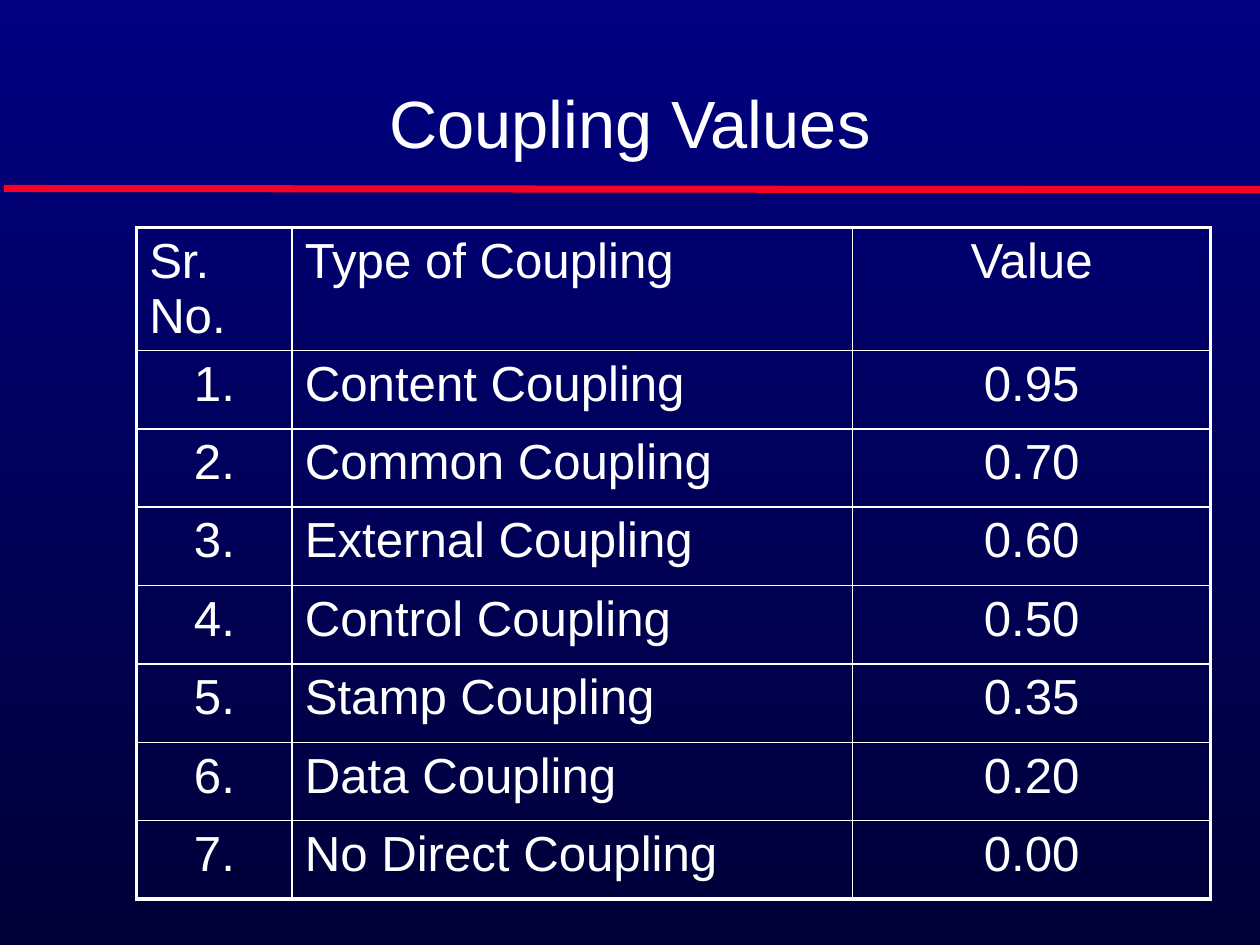
from lxml import etree
from pptx import Presentation
from pptx.dml.color import RGBColor
from pptx.enum import shapes, text
from pptx.oxml import ns
from pptx.util import Inches, Pt

TITLE = "Coupling Values"
HEADER = ("Sr. No.", "Type of Coupling", "Value")
COUPLINGS = [
    ("Content Coupling", "0.95"),
    ("Common Coupling", "0.70"),
    ("External Coupling", "0.60"),
    ("Control Coupling", "0.50"),
    ("Stamp Coupling", "0.35"),
    ("Data Coupling", "0.20"),
    ("No Direct Coupling", "0.00"),
]
COLORS = {"text": "FFFFFF", "rule": "FC0128", "top": "000080", "bottom": "000038"}
FONT = "Arial"
COL_WIDTHS = (1.23, 4.43, 2.83)
HEADER_HEIGHT, ROW_HEIGHT = 0.97, 0.62
OUTER, INNER = 2.25, 1


def rgb(name):
    return RGBColor.from_string(COLORS[name])


def write(tf, content, size, align):
    tf.text = content
    p = tf.paragraphs[0]
    p.alignment = align
    font = p.runs[0].font
    font.name, font.size, font.bold = FONT, Pt(size), False
    font.color.rgb = rgb("text")


def set_borders(cell, widths):
    """Draw left, right, top and bottom borders with the given point widths."""
    tc_pr = cell._tc.get_or_add_tcPr()
    for tag, width in zip(("a:lnL", "a:lnR", "a:lnT", "a:lnB"), widths):
        ln = etree.SubElement(tc_pr, ns.qn(tag), w=str(Pt(width)))
        fill = etree.SubElement(ln, ns.qn("a:solidFill"))
        etree.SubElement(fill, ns.qn("a:srgbClr"), val=COLORS["text"])


def add_background(slide):
    fill = slide.background.fill
    fill.gradient()
    fill.gradient_angle = 270
    for stop, name in zip(fill.gradient_stops, ("top", "bottom")):
        stop.color.rgb = rgb(name)


def add_title(slide):
    sp = slide.shapes.title
    sp.left, sp.top, sp.width, sp.height = map(Inches, (0.73, 0.33, 8.5, 1))
    tf = sp.text_frame
    tf.vertical_anchor = text.MSO_ANCHOR.BOTTOM
    write(tf, TITLE, 38, text.PP_ALIGN.CENTER)


def add_rule(slide):
    line = slide.shapes.add_connector(
        shapes.MSO_CONNECTOR.STRAIGHT,
        Inches(0.03), Inches(1.49), Inches(9.96), Inches(1.5))
    line.line.color.rgb = rgb("rule")
    line.line.width = Pt(4)
    etree.SubElement(line._element.spPr, ns.qn("a:effectLst"))


def add_coupling_table(slide):
    rows = [HEADER] + [(f"{n}.", *row) for n, row in enumerate(COUPLINGS, 1)]
    heights = [HEADER_HEIGHT] + [ROW_HEIGHT] * len(COUPLINGS)
    last_row, last_col = len(rows) - 1, len(HEADER) - 1
    table = slide.shapes.add_table(
        len(rows), len(HEADER), Inches(1.08), Inches(1.8),
        Inches(sum(COL_WIDTHS)), Inches(sum(heights))).table
    table.first_row = table.horz_banding = False
    for column, width in zip(table.columns, COL_WIDTHS):
        column.width = Inches(width)
    for r, (row, height) in enumerate(zip(rows, heights)):
        table.rows[r].height = Inches(height)
        for c, content in enumerate(row):
            cell = table.cell(r, c)
            left = c == 1 or (r == 0 and c == 0)
            align = text.PP_ALIGN.LEFT if left else text.PP_ALIGN.CENTER
            write(cell.text_frame, content, 28, align)
            edges = (c == 0, c == last_col, r == 0, r == last_row)
            set_borders(cell, [OUTER if edge else INNER for edge in edges])
            cell.fill.background()


def main():
    prs = Presentation()
    prs.slide_width, prs.slide_height = Inches(9.96), Inches(7.47)
    slide = prs.slides.add_slide(prs.slide_layouts[5])
    add_background(slide)
    add_rule(slide)
    add_title(slide)
    add_coupling_table(slide)
    prs.save("out.pptx")


if __name__ == "__main__":
    main()
